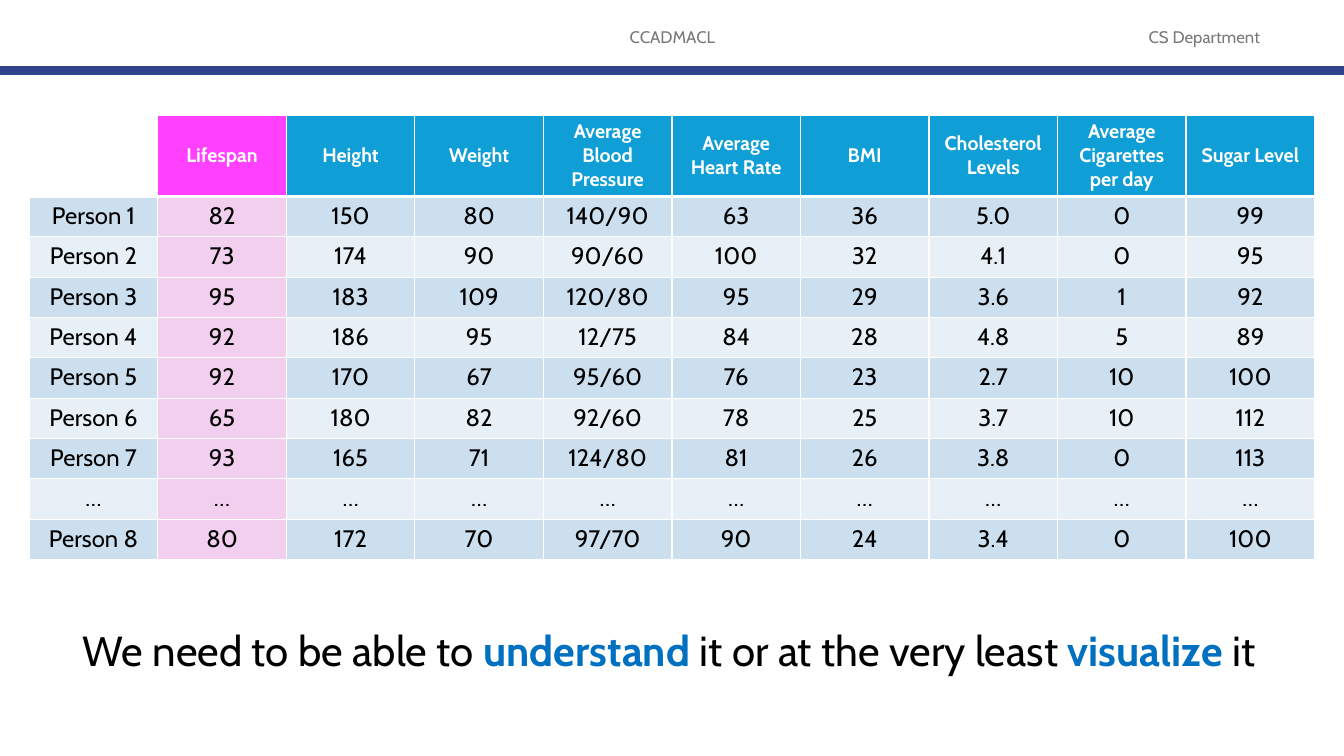
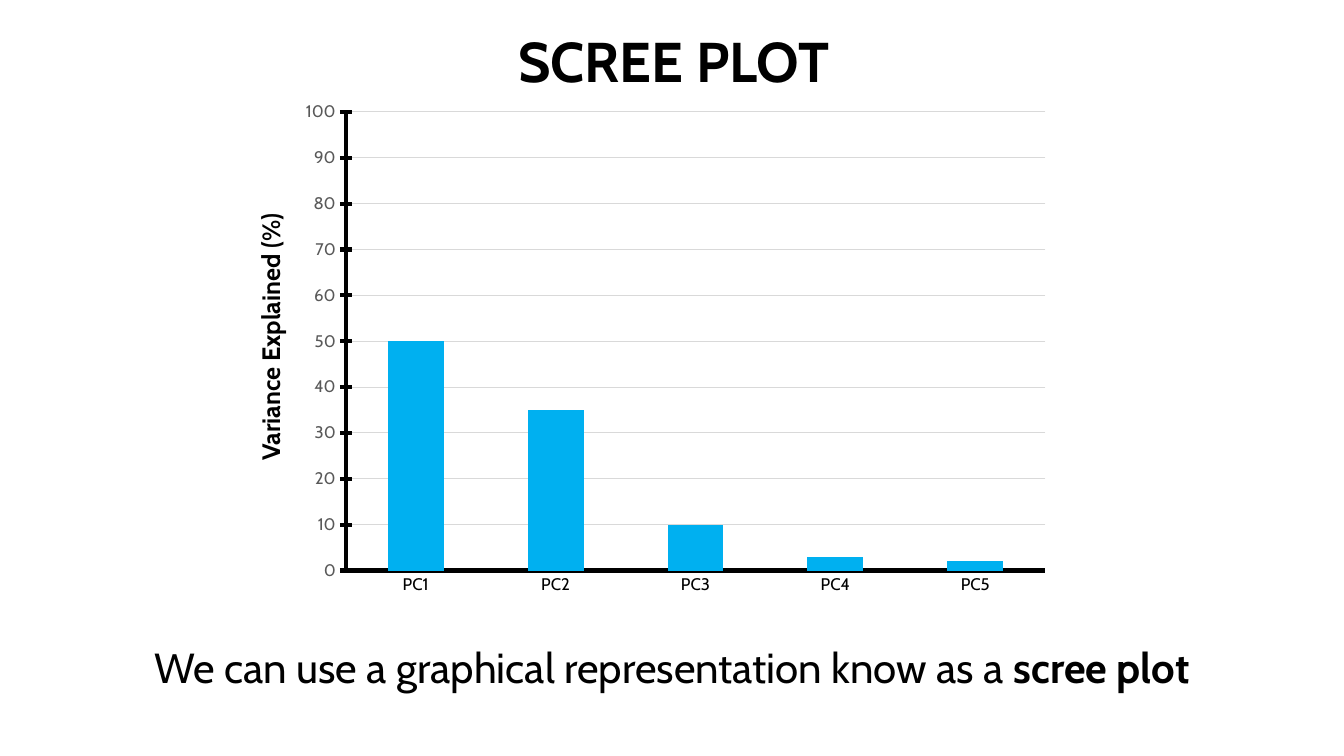
from lxml import etree
from pptx import Presentation
from pptx.chart.data import CategoryChartData
from pptx.dml.color import RGBColor
from pptx.enum.chart import XL_CHART_TYPE, XL_TICK_MARK
from pptx.enum.shapes import MSO_CONNECTOR
from pptx.enum.text import MSO_ANCHOR, MSO_AUTO_SIZE, PP_ALIGN
from pptx.oxml.ns import qn
from pptx.util import Inches, Pt

STACKED = XL_CHART_TYPE.COLUMN_STACKED
TICK_NONE, TICK_CROSS = XL_TICK_MARK.NONE, XL_TICK_MARK.CROSS
STRAIGHT = MSO_CONNECTOR.STRAIGHT
TOP, MIDDLE = MSO_ANCHOR.TOP, MSO_ANCHOR.MIDDLE
LEFT, CENTER = PP_ALIGN.LEFT, PP_ALIGN.CENTER
NO_FIT = MSO_AUTO_SIZE.NONE

FONT = "Cabin"
BLACK = RGBColor(0x00, 0x00, 0x00)
WHITE = RGBColor(0xFF, 0xFF, 0xFF)
GRAY = RGBColor(0x79, 0x79, 0x79)
AXIS_GRAY = RGBColor(0x59, 0x59, 0x59)
GRID_GRAY = RGBColor(0xD9, 0xD9, 0xD9)
NAVY = RGBColor(0x32, 0x41, 0x8C)
ACCENT = RGBColor(0x00, 0x70, 0xC0)
BAR_BLUE = RGBColor(0x00, 0xB0, 0xF0)
HEAD_BLUE = RGBColor(0x0F, 0x9E, 0xD5)
BAND_DARK = RGBColor(0xCC, 0xDF, 0xEF)
BAND_LIGHT = RGBColor(0xE7, 0xF0, 0xF7)
HEAD_PINK = RGBColor(0xFF, 0x40, 0xFF)
PALE_PINK = RGBColor(0xF2, 0xCF, 0xEE)

TITLE_ONLY, BLANK = 5, 6
TARGET_COLUMN = 1

PEOPLE = [
    ["", "Lifespan", "Height", "Weight", "Average Blood Pressure", "Average Heart Rate",
     "BMI", "Cholesterol Levels", "Average Cigarettes per day", "Sugar Level"],
    ["Person 1", "82", "150", "80", "140/90", "63", "36", "5.0", "0", "99"],
    ["Person 2", "73", "174", "90", "90/60", "100", "32", "4.1", "0", "95"],
    ["Person 3", "95", "183", "109", "120/80", "95", "29", "3.6", "1", "92"],
    ["Person 4", "92", "186", "95", "12/75", "84", "28", "4.8", "5", "89"],
    ["Person 5", "92", "170", "67", "95/60", "76", "23", "2.7", "10", "100"],
    ["Person 6", "65", "180", "82", "92/60", "78", "25", "3.7", "10", "112"],
    ["Person 7", "93", "165", "71", "124/80", "81", "26", "3.8", "0", "113"],
    ["…"] * 10,
    ["Person 8", "80", "172", "70", "97/70", "90", "24", "3.4", "0", "100"],
]
VARIANCE = {"PC1": 50, "PC2": 35, "PC3": 10, "PC4": 3, "PC5": 2}


class Deck:
    """Holds the presentation style and the current slide."""

    def __init__(self):
        self.prs = Presentation()
        self.prs.slide_width = Inches(13.33)
        self.prs.slide_height = Inches(7.5)
        self.s = None

    def slide(self, layout):
        self.s = self.prs.slides.add_slide(self.prs.slide_layouts[layout])

    def font(self, font, size, color=BLACK, bold=False):
        font.name, font.size, font.bold = FONT, Pt(size), bold
        font.color.rgb = color

    def add_runs(self, tf, runs, size, align=CENTER):
        p = tf.paragraphs[0]
        p.alignment = align
        for text, color, bold in runs:
            r = p.add_run()
            r.text = text
            self.font(r.font, size, color, bold)
        return p

    def place(self, sp, x, y, w, h):
        sp.left, sp.top, sp.width, sp.height = (Inches(v) for v in (x, y, w, h))

    def title(self, text, x, y, w, h):
        sp = self.s.shapes.title
        self.place(sp, x, y, w, h)
        tf = sp.text_frame
        tf.auto_size, tf.word_wrap, tf.vertical_anchor = NO_FIT, False, TOP
        self.add_runs(tf, [(text, BLACK, True)], 40, LEFT)

    def text(self, runs, x, y, w, h, size, align=CENTER, anchor=MIDDLE, wrap=True):
        sp = self.s.shapes.add_textbox(*(Inches(v) for v in (x, y, w, h)))
        tf = sp.text_frame
        tf.word_wrap, tf.vertical_anchor = wrap, anchor
        return sp, self.add_runs(tf, runs, size, align)

    def caption(self, runs, x, y, w, h):
        p = self.text(runs, x, y, w, h, 30)[1]
        p.line_spacing = 0.9
        p.space_before = Pt(10)

    def header(self, course, department):
        for text, x, w in ((course, 4.42, 4.5), (department, 10.92, 2.05)):
            self.text([(text, GRAY, False)], x, 0.17, w, 0.4, 12)
        y = Inches(0.7)
        line = self.s.shapes.add_connector(STRAIGHT, 0, y, self.prs.slide_width, y)
        line.line.color.rgb = NAVY
        line.line.width = Pt(6)
        etree.SubElement(line._element.spPr, qn("a:effectLst"))

    def borders(self, cell, top, bottom):
        tcPr = cell._tc.get_or_add_tcPr()
        for side, width in (("L", 1), ("R", 1), ("T", top), ("B", bottom)):
            ln = etree.SubElement(tcPr, qn(f"a:ln{side}"), w=str(Pt(width)))
            fill = etree.SubElement(ln, qn("a:solidFill"))
            etree.SubElement(fill, qn("a:srgbClr"), val=str(WHITE))

    def table(self, rows, x, y, w, head_h, row_h):
        columns = len(rows[0])
        h = head_h + row_h * (len(rows) - 1)
        frame = self.s.shapes.add_table(
            len(rows), columns, *(Inches(v) for v in (x, y, w, h)))
        table = frame.table
        table.first_row = table.horz_banding = False
        for column in table.columns:
            column.width = Inches(w / columns)
        for i, values in enumerate(rows):
            head = i == 0
            table.rows[i].height = Inches(head_h if head else row_h)
            base = HEAD_BLUE if head else BAND_DARK if i % 2 else BAND_LIGHT
            pink = HEAD_PINK if head else PALE_PINK
            for j, value in enumerate(values):
                cell = table.cell(i, j)
                self.borders(cell, 3 if i == 1 else 1, 3 if head else 1)
                if not value:
                    cell.fill.background()
                    continue
                cell.fill.solid()
                cell.fill.fore_color.rgb = pink if j == TARGET_COLUMN else base
                cell.vertical_anchor = MIDDLE if head else TOP
                self.add_runs(cell.text_frame, [(value, WHITE if head else BLACK, head)],
                              14 if head else 17)

    def axis(self, axis, tick, color):
        axis.major_tick_mark, axis.minor_tick_mark = tick, TICK_NONE
        axis.format.line.color.rgb = BLACK
        axis.format.line.width = Pt(3)
        self.font(axis.tick_labels.font, 12, color)

    def column_chart(self, values, x, y, w, h):
        data = CategoryChartData()
        data.categories = list(values)
        data.add_series("Series 1", list(values.values()))
        chart = self.s.shapes.add_chart(
            STACKED, *(Inches(v) for v in (x, y, w, h)), data).chart
        chart.has_legend = chart.has_title = False
        self.font(chart.font, 10)
        plot = chart.plots[0]
        plot.gap_width, plot.overlap, plot.vary_by_categories = 150, 100, False
        fill = plot.series[0].format.fill
        fill.solid()
        fill.fore_color.rgb = BAR_BLUE
        self.axis(chart.category_axis, TICK_NONE, BLACK)
        value_axis = chart.value_axis
        self.axis(value_axis, TICK_CROSS, AXIS_GRAY)
        value_axis.minimum_scale, value_axis.maximum_scale = 0, 100
        value_axis.major_unit = 10
        value_axis.has_major_gridlines = True
        grid = value_axis.major_gridlines.format.line
        grid.color.rgb = GRID_GRAY
        grid.width = Pt(0.75)

    def axis_title(self, text, x, y, w, h):
        sp = self.text([(text, BLACK, True)], x, y, w, h, 18, LEFT, TOP, False)[0]
        sp.rotation = 270


def main():
    deck = Deck()

    deck.slide(BLANK)
    deck.header("CCADMACL", "CS Department")
    deck.table(PEOPLE, 0.29, 1.14, 12.75, 0.81, 0.4)
    deck.caption([("We need to be able to ", BLACK, False), ("understand", ACCENT, True),
                  (" it or at the very least ", BLACK, False), ("visualize", ACCENT, True),
                  (" it", BLACK, False)], 0.55, 6.04, 12.17, 0.87)

    deck.slide(TITLE_ONLY)
    deck.column_chart(VARIANCE, 2.88, 0.91, 7.64, 5.09)
    deck.axis_title("Variance Explained (%)", 1.28, 3.07, 2.8, 0.4)
    deck.title("SCREE PLOT", 5.04, 0.21, 3.32, 0.77)
    deck.caption([("We can use a graphical representation know as a ", BLACK, False),
                  ("scree plot", BLACK, True)], 0.4, 5.91, 12.53, 1.47)

    deck.prs.save("out.pptx")


if __name__ == "__main__":
    main()
